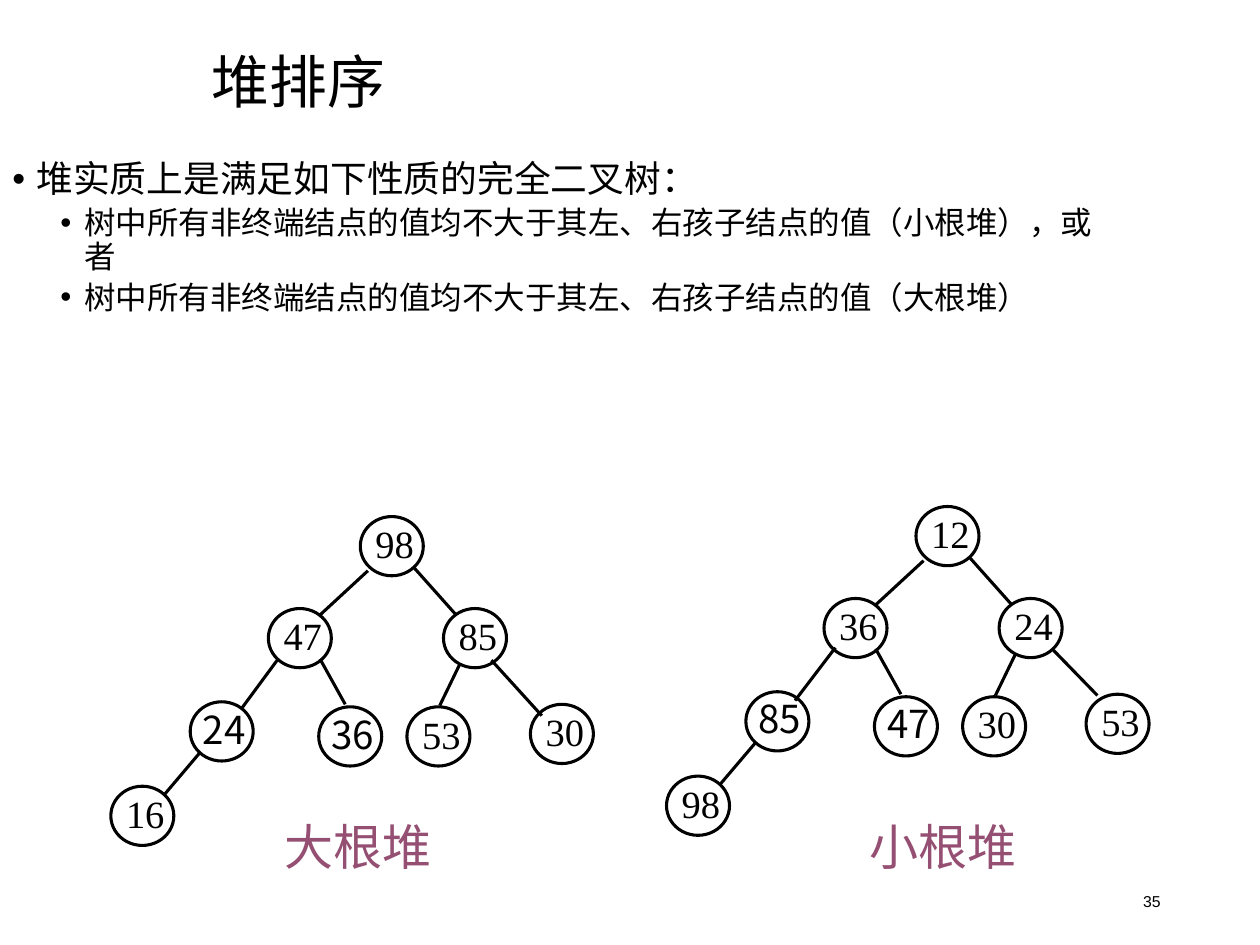
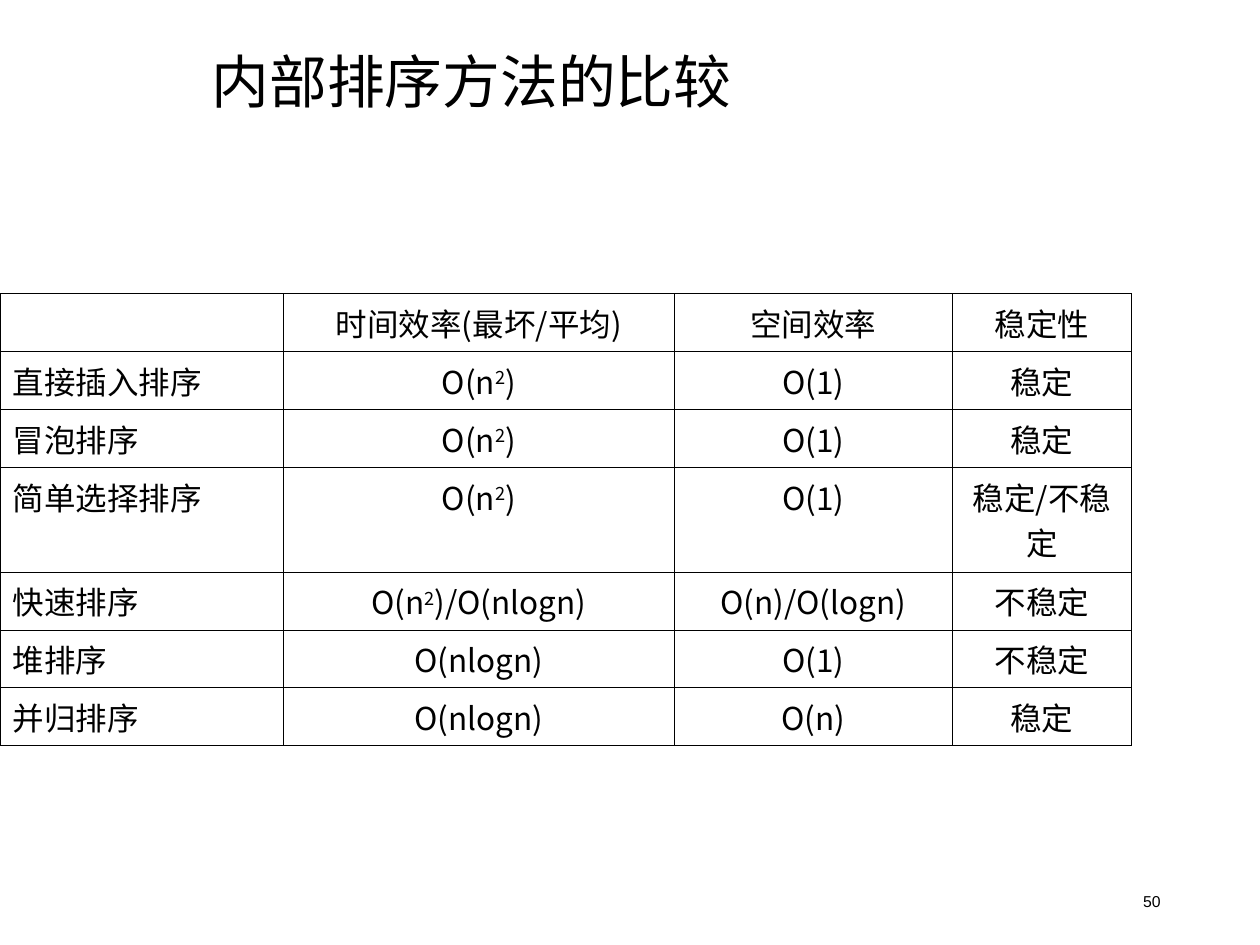
from lxml import etree
from pptx import Presentation
from pptx.dml.color import RGBColor
from pptx.enum.shapes import MSO_CONNECTOR, MSO_SHAPE
from pptx.enum.text import MSO_ANCHOR, MSO_AUTO_SIZE, PP_ALIGN
from pptx.oxml.ns import qn
from pptx.util import Emu, Pt

LEFT, MID, RIGHT = PP_ALIGN.LEFT, PP_ALIGN.CENTER, PP_ALIGN.RIGHT
TOP, CENTER = MSO_ANCHOR.TOP, MSO_ANCHOR.MIDDLE
FIXED, GROW = MSO_AUTO_SIZE.NONE, MSO_AUTO_SIZE.SHAPE_TO_FIT_TEXT
OVAL, LINE = MSO_SHAPE.OVAL, MSO_CONNECTOR.STRAIGHT

SCALE = 9144  # EMU per px, 100 px to the inch
HUES = {"ink": "000000", "plum": "954F72"}
SANS, SERIF, PLAIN = "Noto Sans CJK SC", "Times New Roman", "Arial"
STROKE = Pt(1.75)
NO_PAD = dict.fromkeys(
    ("margin_left", "margin_top", "margin_right", "margin_bottom"), 0)
SNUG = {"word_wrap": False, "auto_size": GROW}

# Heap nodes as left, top, font; both heaps share one layout
SPOTS = [
    (286, 410, SERIF),
    (213, 483, SERIF), (352, 483, SERIF),
    (151, 557, SANS), (253, 561, SANS), (323, 561, SERIF), (421, 559, SERIF),
    (88, 624, SERIF),
]
EDGES = {
    "root-left": (292, 453, 253, 489),
    "root-right": (329, 451, 362, 488),
    "left-left": (220, 524, 192, 562),
    "left-right": (254, 523, 274, 559),
    "right-left": (365, 527, 349, 560),
    "right-right": (390, 524, 430, 568),
    "last": (159, 597, 131, 630),
}
SMALL_EDGES = EDGES | {
    "left-left": (222, 522, 190, 564),
    "right-right": (395, 524, 430, 560),
}

POINTS = [
    (0, "堆实质上是满足如下性质的完全二叉树："),
    (1, "树中所有非终端结点的值均不大于其左、右孩子结点的值（小根堆），或者"),
    (1, "树中所有非终端结点的值均不大于其左、右孩子结点的值（大根堆）"),
]

# In cells, ^ marks the next character as raised
COLS = [225, 310, 221, 142]
TALL = {3: 83}
ROWS = [
    ["", "时间效率(最坏/平均)", "空间效率", "稳定性"],
    ["直接插入排序", "O(n^2)", "O(1)", "稳定"],
    ["冒泡排序", "O(n^2)", "O(1)", "稳定"],
    ["简单选择排序", "O(n^2)", "O(1)", "稳定/不稳定"],
    ["快速排序", "O(n^2)/O(nlogn)", "O(n)/O(logn)", "不稳定"],
    ["堆排序", "O(nlogn)", "O(1)", "不稳定"],
    ["并归排序", "O(nlogn)", "O(n)", "稳定"],
]


def px(*nums):
    return [Emu(num * SCALE) for num in nums]


def put(item, form):
    for key, val in form.items():
        setattr(item, key, val)


class Deck:
    def __init__(self):
        self.prs = Presentation()
        put(self.prs, dict(zip(("slide_width", "slide_height"), px(1000, 750))))
        self.slide = None

    def page(self, title, num):
        self.slide = self.prs.slides.add_slide(self.prs.slide_layouts[5])
        head = self.slide.shapes.title
        put(head, dict(zip(("left", "top", "width", "height"),
                           px(158, 35, 842, 65))))
        put(head.text_frame, {"vertical_anchor": CENTER, "auto_size": FIXED,
                              "word_wrap": True})
        par = head.text_frame.paragraphs[0]
        put(par, {"alignment": LEFT, "line_spacing": 0.9})
        self.run(par, title, 33)
        self.text((706, 695, 225, 40), str(num), 9, PLAIN, align=RIGHT,
                  form={"vertical_anchor": CENTER})

    def run(self, par, text, size, face=SANS, hue="ink", rise=0):
        run = par.add_run()
        run.text = text
        put(run.font, {"size": Pt(size), "name": face})
        run.font.color.rgb = RGBColor.from_string(HUES[hue])
        props = run.font._element
        etree.SubElement(props, qn("a:ea"), typeface=SANS)
        if rise:
            props.set("baseline", str(rise * 1000))

    def frame(self, box, form):
        frame = self.slide.shapes.add_textbox(*px(*box)).text_frame
        put(frame, {"word_wrap": True, "vertical_anchor": TOP} | form)
        return frame

    def text(self, box, text, size, face=SANS, hue="ink", align=LEFT, form={}):
        par = self.frame(box, form).paragraphs[0]
        par.alignment = align
        self.run(par, text, size, face, hue)

    def list(self, box, items):
        frame = self.frame(box, {})
        for num, (level, text) in enumerate(items):
            par = frame.add_paragraph() if num else frame.paragraphs[0]
            put(par, {"level": level, "line_spacing": 0.9,
                      "space_before": Pt(3.7 if num else 0)})
            props = par._p.get_or_add_pPr()
            inset, hang = px((19, 57)[level], -19)
            props.set("marL", str(inset))
            props.set("indent", str(hang))
            etree.SubElement(props, qn("a:buFont"), typeface=PLAIN)
            etree.SubElement(props, qn("a:buChar"), char="•")
            self.run(par, text, (21, 18)[level])

    def node(self, x, y, text, face):
        shift, wide = (12, 31) if face == SERIF else (10, 36)
        self.text((x + shift, y + 3, wide, 37), text, 22, face,
                  form=NO_PAD | SNUG)
        oval = self.slide.shapes.add_shape(OVAL, *px(x, y, 50, 47))
        oval.shadow.inherit = False
        oval.fill.background()
        self.ink(oval.line)

    def ink(self, line):
        line.color.rgb = RGBColor.from_string(HUES["ink"])
        line.width = STROKE

    def edge(self, ends):
        link = self.slide.shapes.add_connector(LINE, *px(*ends))
        self.ink(link.line)
        etree.SubElement(link._element.spPr, qn("a:effectLst"))

    def heap(self, dx, dy, vals, edges):
        for (x, y, face), val in zip(SPOTS, vals):
            self.node(x + dx, y + dy, str(val), face)
        for x1, y1, x2, y2 in edges.values():
            self.edge((x1 + dx, y1 + dy, x2 + dx, y2 + dy))

    def label(self, x, text):
        self.text((x, 643, 139, 57), text, 28, PLAIN, "plum", form=SNUG)

    def table(self, x, y, cols, rows):
        highs = [TALL.get(num, 46) for num in range(len(rows))]
        grid = self.slide.shapes.add_table(
            len(rows), len(cols), *px(x, y, sum(cols), sum(highs))).table
        put(grid, {"first_row": False, "horz_banding": False})
        for col, wide in zip(grid.columns, px(*cols)):
            col.width = wide
        for row, high, words in zip(grid.rows, px(*highs), rows):
            row.height = high
            for num, (cell, text) in enumerate(zip(row.cells, words)):
                self.cell(cell, text, MID if num else LEFT)

    def cell(self, cell, text, align):
        props = cell._tc.get_or_add_tcPr()
        for side in ("lnL", "lnR", "lnT", "lnB"):
            line = etree.SubElement(props, qn("a:" + side), w=str(Pt(0.45)))
            fill = etree.SubElement(line, qn("a:solidFill"))
            etree.SubElement(fill, qn("a:srgbClr"), val=HUES["ink"])
        cell.fill.background()
        par = cell.text_frame.paragraphs[0]
        par.alignment = align
        base, _, tail = text.partition("^")
        if base:
            self.run(par, base, 18)
        if tail:
            self.run(par, tail[0], 18, rise=30)
            self.run(par, tail[1:], 18)


def main():
    deck = Deck()

    # Heap definition with a max heap and a min heap
    deck.page("堆排序", 35)
    deck.list((0, 123, 898, 278), POINTS)
    deck.heap(441, -8, [12, 36, 24, 85, 47, 30, 53, 98], SMALL_EDGES)
    deck.heap(0, 0, [98, 47, 85, 24, 36, 53, 30, 16], EDGES)
    deck.label(216, "大根堆")
    deck.label(680, "小根堆")

    # Comparison of the sorting methods
    deck.page("内部排序方法的比较", 50)
    deck.table(0, 233, COLS, ROWS)

    deck.prs.save("out.pptx")


if __name__ == "__main__":
    main()
